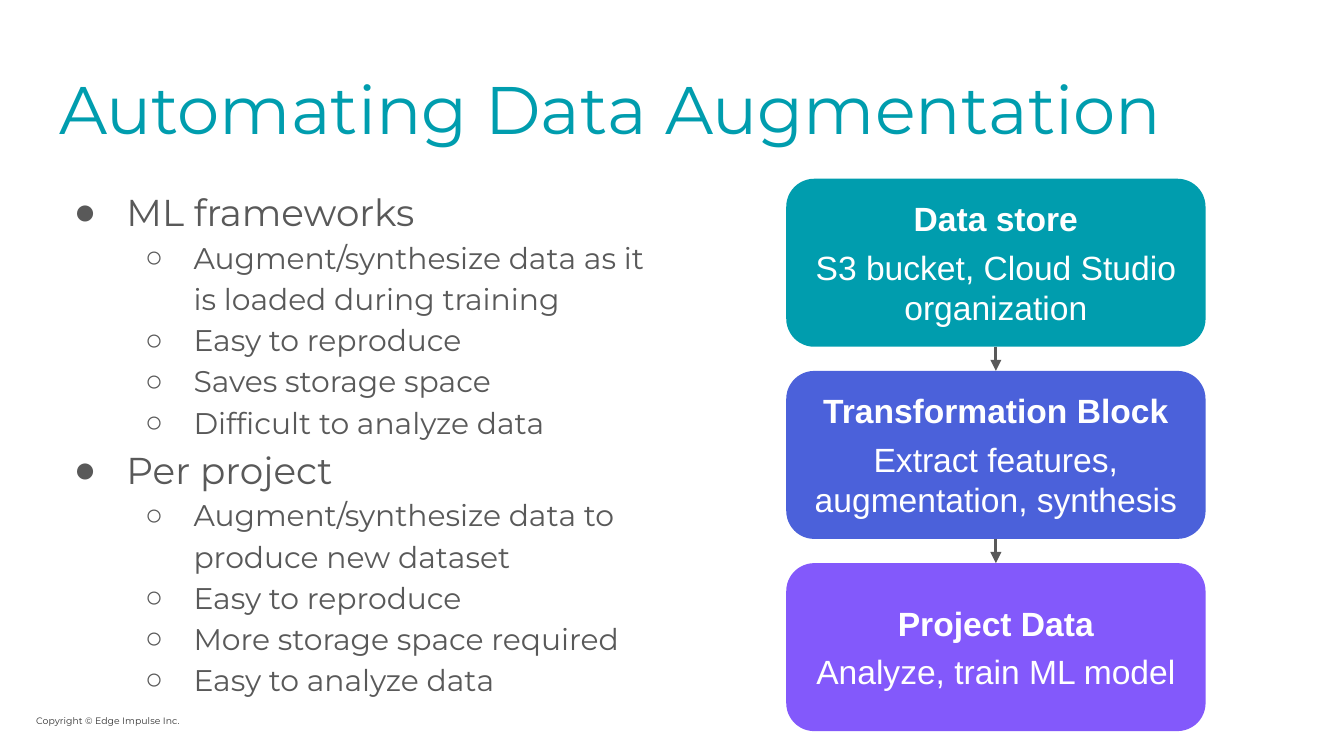
from lxml.etree import SubElement
from pptx import Presentation
from pptx.dml.color import RGBColor
from pptx.enum.shapes import MSO_CONNECTOR, MSO_SHAPE
from pptx.enum.text import MSO_ANCHOR, MSO_AUTO_SIZE, PP_ALIGN
from pptx.oxml.ns import qn
from pptx.util import Inches, Pt

TEAL = "009DAE"
GRAY = "595959"
BULLETS = {0: ("●", 0.5, -0.39, 20), 1: ("○", 1, -0.36, 16)}

TOPICS = [
    ("ML frameworks", [
        "Augment/synthesize data as it is loaded during training",
        "Easy to reproduce",
        "Saves storage space",
        "Difficult to analyze data",
    ]),
    ("Per project", [
        "Augment/synthesize data to produce new dataset",
        "Easy to reproduce",
        "More storage space required",
        "Easy to analyze data",
    ]),
]
STAGES = [
    ("Data store", "S3 bucket, Cloud Studio organization", TEAL),
    ("Transformation Block", "Extract features, augmentation, synthesis", "4B61DA"),
    ("Project Data", "Analyze, train ML model", "8359FB"),
]


def color(value):
    return RGBColor.from_string(value)


def write(para, text, size=18, font="Montserrat", fill=GRAY, bold=False,
          align=PP_ALIGN.LEFT, before=0, spacing=1.0):
    para.alignment = align
    para.space_before = Pt(before)
    para.line_spacing = spacing
    span = para.add_run()
    span.text = text
    span.font.size = Pt(size)
    span.font.name = font
    span.font.bold = bold
    span.font.color.rgb = color(fill)


class SlideBuilder:
    def __init__(self, page):
        self.page = page

    def frame(self, box, inset=0.1, anchor=MSO_ANCHOR.TOP):
        frame = box.text_frame
        frame.word_wrap = True
        frame.auto_size = MSO_AUTO_SIZE.NONE
        frame.vertical_anchor = anchor
        frame.margin_left = frame.margin_right = Inches(inset)
        frame.margin_top = frame.margin_bottom = Inches(inset)
        return frame

    def place(self, box, left, top, width, height):
        box.left, box.top = Inches(left), Inches(top)
        box.width, box.height = Inches(width), Inches(height)

    def title(self, text):
        box = self.page.shapes.title
        self.place(box, 0.34, 0.4, 9.32, 0.63)
        write(self.frame(box).paragraphs[0], text, size=36, fill=TEAL)

    def bullet(self, para, text, level):
        mark, left, indent, size = BULLETS[level]
        para.level = level
        properties = para._p.get_or_add_pPr()
        properties.set("marL", str(Inches(left)))
        properties.set("indent", str(Inches(indent)))
        shade = SubElement(properties, qn("a:buClr"))
        SubElement(shade, qn("a:srgbClr"), val=GRAY)
        SubElement(properties, qn("a:buFont"), typeface="Arial")
        SubElement(properties, qn("a:buChar"), char=mark)
        write(para, text, size=size, spacing=1.15)

    def body(self, topics):
        box = self.page.placeholders[1]
        self.place(box, 0.34, 1.26, 4.73, 3.74)
        frame = self.frame(box)
        items = [item for heading, points in topics
                 for item in [(heading, 0)] + [(point, 1) for point in points]]
        for index, (text, level) in enumerate(items):
            para = frame.add_paragraph() if index else frame.paragraphs[0]
            self.bullet(para, text, level)

    def footer(self, text):
        box = self.page.shapes.add_textbox(
            Inches(0.27), Inches(5.31), Inches(1.37), Inches(0.09))
        frame = self.frame(box, inset=0)
        frame.margin_top = Inches(0.01)
        write(frame.paragraphs[0], text, size=5, fill="333333")

    def stage(self, top, heading, detail, fill):
        box = self.page.shapes.add_shape(
            MSO_SHAPE.ROUNDED_RECTANGLE,
            Inches(5.85), Inches(top), Inches(3.12), Inches(1.25))
        box.shadow.inherit = False
        box.fill.solid()
        box.fill.fore_color.rgb = color(fill)
        box.line.fill.background()
        frame = self.frame(box, anchor=MSO_ANCHOR.MIDDLE)
        look = dict(font="Arial", fill="FFFFFF", align=PP_ALIGN.CENTER)
        write(frame.paragraphs[0], heading, bold=True, **look)
        write(frame.add_paragraph(), detail, before=4.6, **look)
        return box

    def arrow(self, upper, lower):
        line = self.page.shapes.add_connector(MSO_CONNECTOR.STRAIGHT, 0, 0, 0, 0)
        line.begin_connect(upper, 2)
        line.end_connect(lower, 0)
        line.line.width = Pt(1.5)
        line.line.color.rgb = color(GRAY)
        SubElement(line.line._get_or_add_ln(), qn("a:tailEnd"), type="triangle")
        SubElement(line._element.spPr, qn("a:effectLst"))


def main():
    deck = Presentation()
    deck.slide_width = Inches(10)
    deck.slide_height = deck.slide_width * 9 // 16
    builder = SlideBuilder(deck.slides.add_slide(deck.slide_layouts[1]))
    builder.footer("Copyright © Edge Impulse Inc.")
    builder.title("Automating Data Augmentation")
    builder.body(TOPICS)
    boxes = [builder.stage(1.33 + 1.43 * index, *stage)
             for index, stage in enumerate(STAGES)]
    for upper, lower in zip(boxes, boxes[1:]):
        builder.arrow(upper, lower)
    deck.save("out.pptx")


if __name__ == "__main__":
    main()
